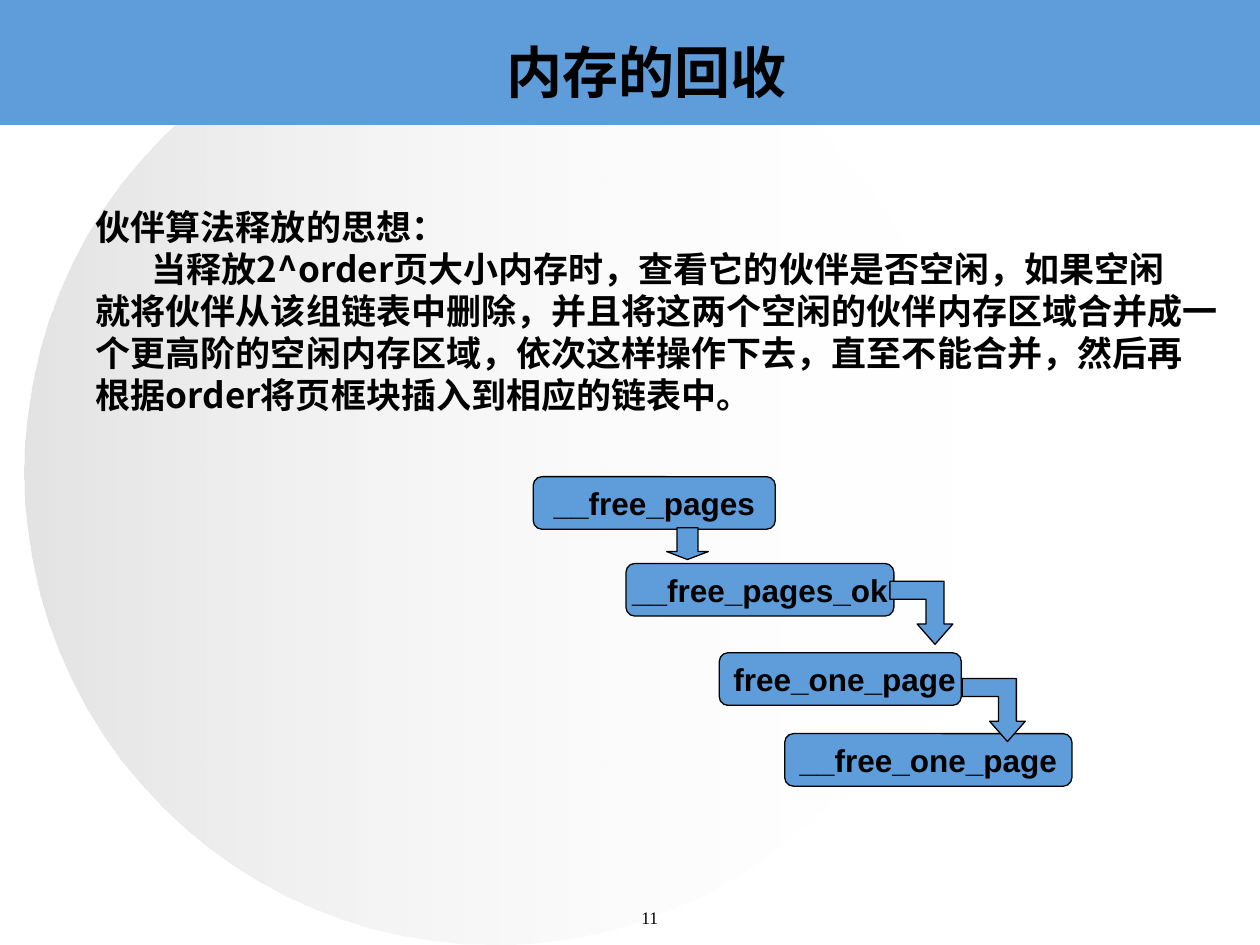
from lxml import etree
from pptx import Presentation
from pptx import util as u
from pptx.dml.color import RGBColor
from pptx.enum import shapes, text
from pptx.oxml.ns import qn

TITLE = "内存的回收"
IDEA = [
    "伙伴算法释放的思想：",
    "当释放2^order页大小内存时，查看它的伙伴是否空闲，如果空闲",
    "就将伙伴从该组链表中删除，并且将这两个空闲的伙伴内存区域合并成一",
    "个更高阶的空闲内存区域，依次这样操作下去，直至不能合并，然后再",
    "根据order将页框块插入到相应的链表中。",
]
INDENTED_LINE = 1
PAGE_NUMBER = "11"

# Call chain: label, left, top, width in cm
CALLS = [
    ("__free_pages", 10.75, 9.61, 4.88),
    ("__free_pages_ok", 12.62, 11.36, 5.4),
    (" free_one_page", 14.5, 13.16, 4.88),
    ("__free_one_page", 15.82, 14.79, 5.79),
]
CALL_HEIGHT = 1.06
# Bent arrows: left, top in cm; outline in hundredths of a cm
BENT_ARROWS = [(17.94, 11.72), (19.4, 13.68)]
BENT_OUTLINE = [(0, 0), (0, 36), (73, 36), (73, 86), (55, 86),
                (91, 127), (127, 86), (109, 86), (109, 0)]

COLORS = {"blue": "5E9CDA", "black": "000000", "pale": "FEFEFE", "grey": "C0C0C0"}
# Disc gradient: colour, opacity in percent
DISC_STOPS = [("pale", 0), ("grey", 44)]


def color(name):
    return RGBColor.from_string(COLORS[name])


def cm(*lengths):
    return [u.Cm(length) for length in lengths]


def paint(shape, outlined=True):
    shape.shadow.inherit = False
    shape.fill.solid()
    shape.fill.fore_color.rgb = color("blue")
    if outlined:
        shape.line.color.rgb = color("black")
        shape.line.width = u.Pt(0.75)
    else:
        shape.line.fill.background()


def write(shape, lines, size, font, align, bold=True, anchor=text.MSO_ANCHOR.TOP):
    frame = shape.text_frame
    frame.text = "\n".join(lines)
    frame.word_wrap = False
    frame.auto_size = text.MSO_AUTO_SIZE.NONE
    frame.vertical_anchor = anchor
    for para in frame.paragraphs:
        para.alignment = align
        for span in para.runs:
            span.font.size = u.Pt(size)
            span.font.name = font
            span.font.bold = bold
            span.font.color.rgb = color("black")
            east_asian = etree.SubElement(span.font._element, qn("a:ea"))
            east_asian.set("typeface", font)
    return frame


deck = Presentation()
deck.slide_width, deck.slide_height = cm(25.4, 19.05)
page = deck.slides.add_slide(deck.slide_layouts[5])
items = page.shapes
title = items.title

# Background disc, fading out to the right
disc = items.add_shape(shapes.MSO_SHAPE.OVAL, *cm(0.5, 0, 18.9, 19.05))
disc.shadow.inherit = False
disc.line.fill.background()
disc.fill.gradient()
disc.fill.gradient_angle = 180
for stop, (name, opacity) in zip(disc.fill.gradient_stops, DISC_STOPS):
    stop.color.rgb = color(name)
    tint = stop._gs.find(qn("a:srgbClr"))
    etree.SubElement(tint, qn("a:alpha")).set("val", str(opacity * 1000))

# Title band, with the title in front of it
band = items.add_shape(shapes.MSO_SHAPE.RECTANGLE, *cm(0, 0, 25.4, 2.52))
paint(band, outlined=False)
band._element.addnext(title._element)
title.left, title.top, title.width, title.height = cm(9.96, 0.62, 8, 1.63)
write(title, [TITLE], 32, "Arial", text.PP_ALIGN.LEFT)

# Explanation
idea = items.add_textbox(*cm(1.68, 4.02, 23.11, 4.5))
frame = write(idea, IDEA, 20, "Noto Sans CJK SC", text.PP_ALIGN.LEFT)
indented = frame.paragraphs[INDENTED_LINE]._p.get_or_add_pPr()
indented.set("indent", str(u.Cm(1.13)))

# Call chain
for label, left, top, width in CALLS:
    call = items.add_shape(shapes.MSO_SHAPE.FLOWCHART_ALTERNATE_PROCESS,
                           *cm(left, top, width, CALL_HEIGHT))
    paint(call)
    write(call, [label], 18, "Arial", text.PP_ALIGN.CENTER,
          anchor=text.MSO_ANCHOR.MIDDLE)

# Arrows between the calls
down = items.add_shape(shapes.MSO_SHAPE.DOWN_ARROW, *cm(13.44, 10.64, 0.84, 0.64))
down.adjustments[1] = 0.25
paint(down)
for left, top in BENT_ARROWS:
    builder = items.build_freeform(*BENT_OUTLINE[0], scale=u.Cm(0.01))
    builder.add_line_segments(BENT_OUTLINE[1:], close=True)
    paint(builder.convert_to_shape(*cm(left, top)))

# Page number
number = items.add_textbox(*cm(11.63, 18.16, 2.34, 0.74))
frame = write(number, [PAGE_NUMBER], 10, "Times New Roman",
              text.PP_ALIGN.CENTER, bold=False)
frame.paragraphs[0]._p.get_or_add_pPr().set("marL", str(u.Cm(0.6)))

deck.save("out.pptx")
